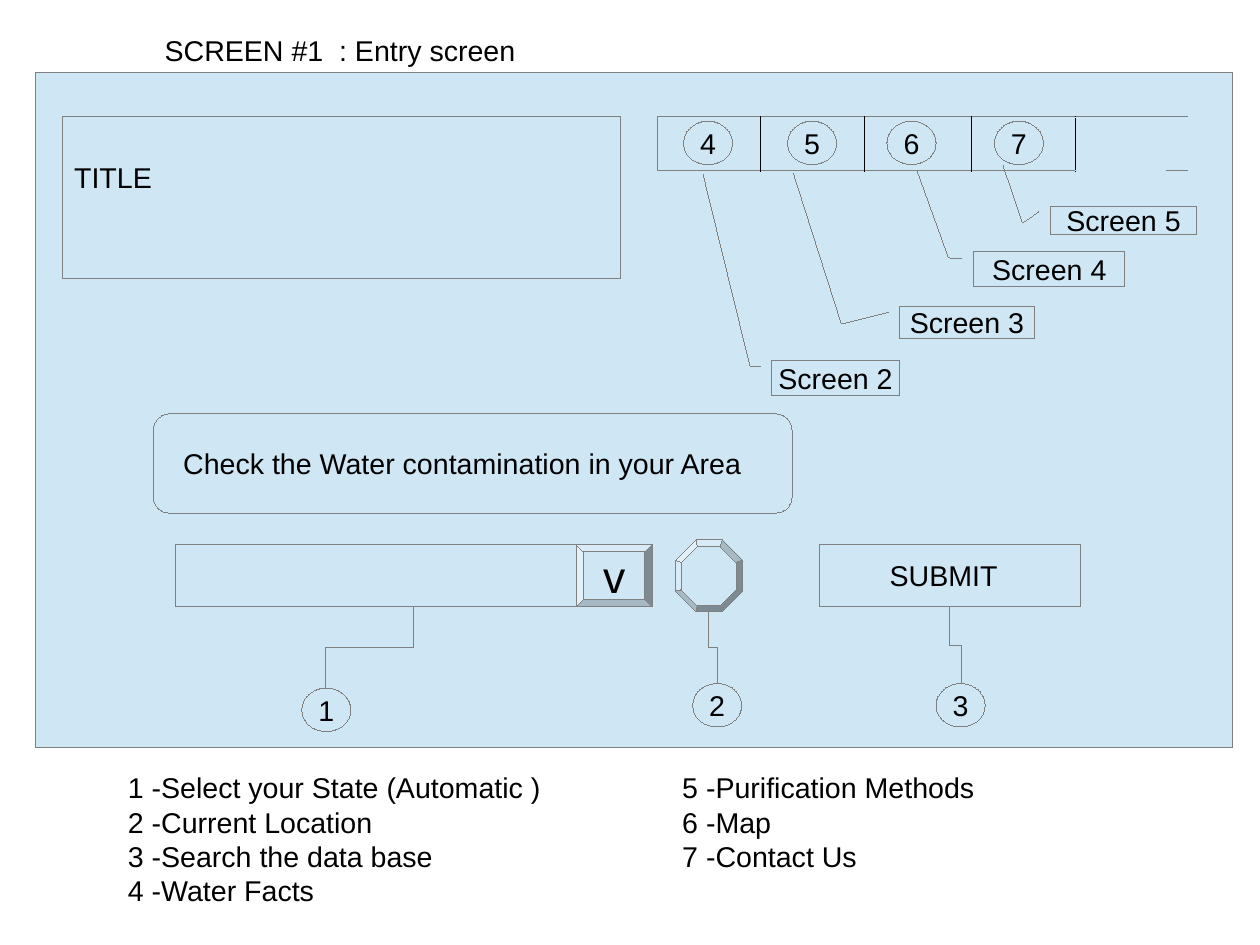
from pptx import Presentation
from pptx import util as u
from pptx.dml.color import RGBColor
from pptx.enum import shapes, text
from pptx.oxml.ns import qn
from lxml import etree

COLORS = {"panel": "CFE7F5", "outline": "808080", "ink": "000000",
          "light": "E2F0F9", "pale": "D8ECF7", "shade": "A6B9C4", "dark": "7C8A93"}
HAIRLINE = u.Pt(0.01)
KIND = shapes.MSO_SHAPE
CENTER = text.PP_ALIGN.CENTER
MIDDLE = text.MSO_ANCHOR.MIDDLE


def color(name):
    return RGBColor.from_string(COLORS[name])


def write(shape, lines, align=text.PP_ALIGN.LEFT, anchor=text.MSO_ANCHOR.TOP,
          insets=(0.1, 0.05, 0.1, 0.05), wrap=True, size=18):
    frame = shape.text_frame
    frame.word_wrap = wrap
    frame.auto_size = text.MSO_AUTO_SIZE.NONE
    frame.vertical_anchor = anchor
    (frame.margin_left, frame.margin_top,
     frame.margin_right, frame.margin_bottom) = map(u.Inches, insets)
    for index, line in enumerate(lines):
        para = frame.paragraphs[0] if index == 0 else frame.add_paragraph()
        para.alignment = align
        span = para.add_run()
        span.text = line
        span.font.name = "Arial"
        span.font.size = u.Pt(size)
        span.font.color.rgb = color("ink")


def style(shape, fill=None):
    shape.shadow.inherit = False
    if fill:
        shape.fill.solid()
        shape.fill.fore_color.rgb = color(fill)
    else:
        shape.fill.background()
    shape.line.color.rgb = color("outline")
    shape.line.width = HAIRLINE


def add_box(page, box, kind=KIND.RECTANGLE, fill=None, adjust=()):
    shape = page.shapes.add_shape(kind, *map(u.Inches, box))
    style(shape, fill)
    for index, value in enumerate(adjust):
        shape.adjustments[index] = value
    return shape


def add_link(page, kind, x1, y1, x2, y2, line):
    link = page.shapes.add_connector(kind, *map(u.Inches, (x1, y1, x2, y2)))
    link.line.color.rgb = color(line)
    link.line.width = HAIRLINE
    etree.SubElement(link._element.spPr, qn("a:effectLst"))
    return link


def add_line(page, x1, y1, x2, y2, line):
    add_link(page, shapes.MSO_CONNECTOR.STRAIGHT, x1, y1, x2, y2, line)


def add_drop(page, x1, y1, x2, y2):
    """Elbow that leaves downwards: a sideways elbow turned by 90 degrees."""
    mid_x, mid_y = (x1 + x2) / 2, (y1 + y2) / 2
    half_x, half_y = (x2 - x1) / 2, (y2 - y1) / 2
    link = add_link(page, shapes.MSO_CONNECTOR.ELBOW, mid_x - half_y, mid_y + half_x,
                    mid_x + half_y, mid_y - half_x, "outline")
    link._element.spPr.find(qn("a:xfrm")).set("rot", str(90 * 60000))


def add_number(page, left, top, number):
    circle = add_box(page, (left, top, 0.43, 0.38), KIND.OVAL)
    write(circle, [number], CENTER, MIDDLE, (0, 0, 0, 0), wrap=False)


def add_polygon(page, points, fill):
    points = [(u.Inches(x), u.Inches(y)) for x, y in points]
    builder = page.shapes.build_freeform(*points[0], scale=1.0)
    builder.add_line_segments(points[1:], close=True)
    style(builder.convert_to_shape(), fill)


def octagon(left, top, width, height, cut):
    """Corners clockwise, from the left end of the top side."""
    right, bottom = left + width, top + height
    return [(left + cut, top), (right - cut, top), (right, top + cut),
            (right, bottom - cut), (right - cut, bottom), (left + cut, bottom),
            (left, bottom - cut), (left, top + cut)]


def location_button(page, left, top, width, height):
    outer = octagon(left, top, width, height, 0.18)
    inner = octagon(left + 0.05, top + 0.06, width - 0.11, height - 0.11, 0.14)
    add_polygon(page, inner, "panel")
    facets = ["pale", "shade", "dark", "dark", "dark", "shade", "pale", "light"]
    for side, fill in enumerate(facets):
        after = (side + 1) % 8
        add_polygon(page, [outer[side], outer[after], inner[after], inner[side]], fill)


def heading(page, left, top, width, height):
    title = page.shapes.title
    title.left, title.top, title.width, title.height = map(
        u.Inches, (left, top, width, height))
    write(title, ["SCREEN #1  : Entry screen"])


def menu(page, left, top, width, height):
    add_box(page, (left, top, width, height))
    # Dividers between the entries
    for offset in (0.9, 1.81, 2.75, 3.66):
        add_line(page, left + offset, top, left + offset, top + 0.48, "ink")
    # Faded end of the bar
    start, end, low = left + 3.66, left + width, top + height
    add_line(page, start, top + 0.01, end, top + 0.01, "panel")
    add_line(page, start, low, end - 0.2, low, "panel")
    add_line(page, end, top, end, top + 0.63, "panel")
    for number, offset in zip("4567", (0.23, 1.14, 2.01, 2.95)):
        add_number(page, left + offset, top + 0.04, number)


def callouts(page, left, top):
    # Name, box offset and size, then the bend and tip of its leader
    targets = [
        ("Screen 2", (0, 1.34, 1.12, 0.31), (0.185, -0.167, -5.24, -0.534)),
        ("Screen 3", (1.12, 0.87, 1.18, 0.28), (0.552, -0.431, -4.147, -0.786)),
        ("Screen 5", (2.44, 0, 1.28, 0.24), (0.588, -0.191, -1.498, -0.323)),
        ("Screen 4", (1.77, 0.39, 1.32, 0.31), (0.185, -0.167, -2.246, -0.373)),
    ]
    for name, (x, y, width, height), leader in targets:
        label = add_box(page, (left + x, top + y, width, height), KIND.LINE_CALLOUT_2,
                        "panel", (0.188, -0.083) + leader)
        write(label, [name], CENTER, MIDDLE, wrap=False)


def search_row(page, left, top, height):
    # State list with its drop-down button
    add_box(page, (left, top, 4.17, height))
    arrow = add_box(page, (left + 3.5, top, 0.67, height), KIND.BEVEL, "panel", [0.125])
    write(arrow, ["v"], CENTER, MIDDLE, wrap=False, size=28)
    location_button(page, left + 4.37, top - 0.04, 0.59, 0.63)
    submit = add_box(page, (left + 5.63, top, 2.28, height))
    write(submit, ["SUBMIT"], CENTER, MIDDLE, (0, 0, 0.11, 0))
    # Numbers below, each joined to its control
    base = top + height
    for number, x, y, from_x, from_y, shift in (
            ("1", 1.1, 1.26, 2.08, 0, 0.21), ("2", 4.52, 1.22, 4.66, 0.04, 0.22),
            ("3", 6.65, 1.22, 6.77, 0, 0.22)):
        add_number(page, left + x, top + y, number)
        add_drop(page, left + from_x, base + from_y, left + x + shift, top + y)


def legend(page, box, lines):
    write(page.shapes.add_textbox(*map(u.Inches, box)), lines)


def entry_screen(page):
    heading(page, 1.34, 0.24, 7.95, 0.38)
    add_box(page, (0.31, 0.63, 10.47, 5.91), fill="panel")
    banner = add_box(page, (0.55, 1.02, 4.88, 1.42))
    write(banner, ["TITLE"], insets=(0.1, 0.38, 0.1, 0.05))
    menu(page, 5.75, 1.02, 4.65, 0.47)
    callouts(page, 6.75, 1.81)
    prompt = add_box(page, (1.34, 3.62, 5.59, 0.87), KIND.ROUNDED_RECTANGLE,
                     adjust=[0.167])
    write(prompt, ["Check the Water contamination in your Area"],
          anchor=MIDDLE, insets=(0.22, 0.05, 0.1, 0.05))
    search_row(page, 1.54, 4.76, 0.55)
    legend(page, (1.02, 6.69, 4.41, 1.5),
           ["1 -Select your State (Automatic )", "2 -Current Location",
            "3 -Search the data base", "4 -Water Facts"])
    legend(page, (5.87, 6.69, 4.41, 1.02),
           ["5 -Purification Methods", "6 -Map", "7 -Contact Us"])


def main():
    deck = Presentation()
    # A 28 by 21 cm page
    deck.slide_width, deck.slide_height = u.Cm(28), u.Cm(21)
    entry_screen(deck.slides.add_slide(deck.slide_layouts[5]))
    deck.save("out.pptx")


if __name__ == "__main__":
    main()
